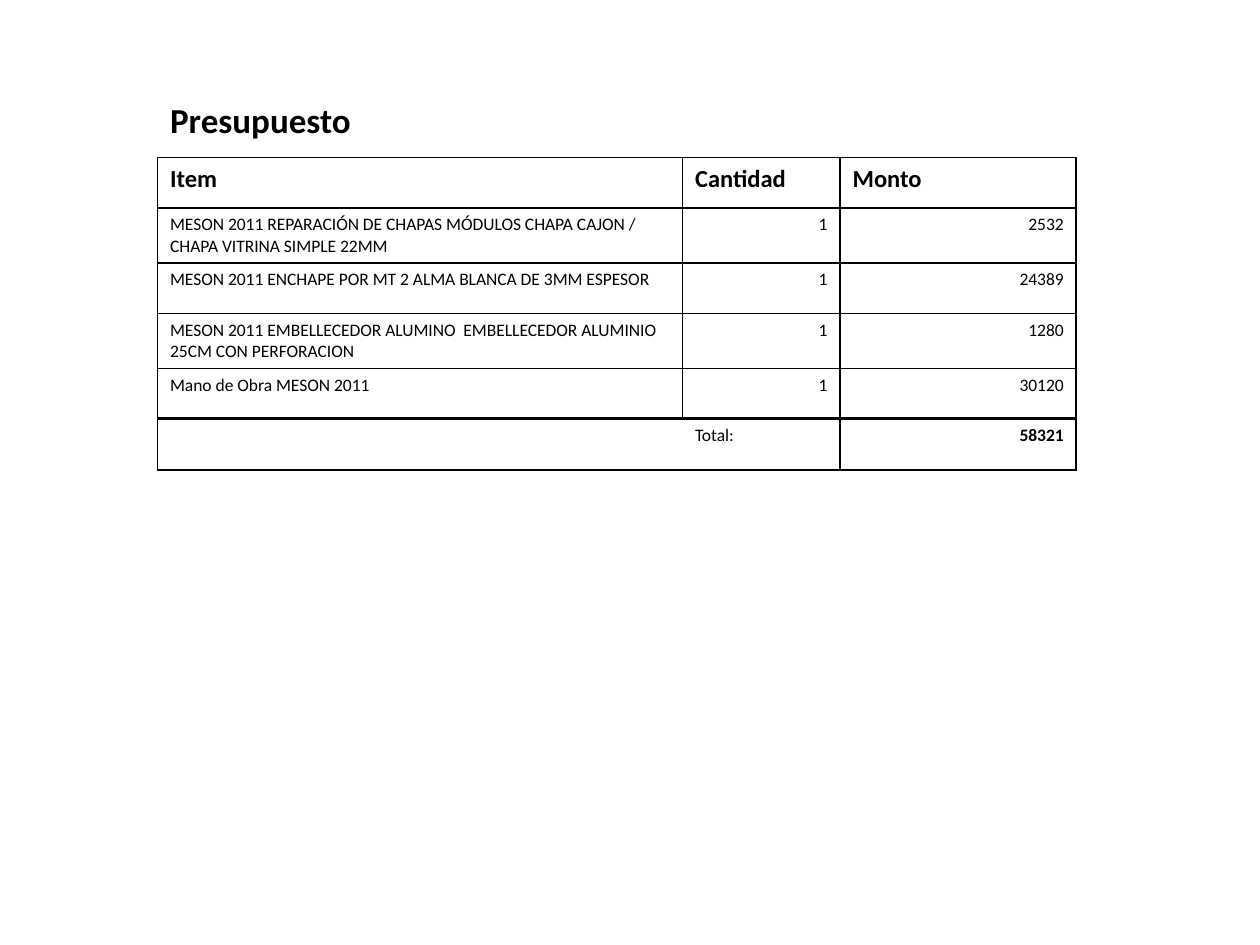
from lxml.etree import SubElement
from pptx import Presentation
from pptx.dml.color import RGBColor
from pptx.enum.text import MSO_ANCHOR, PP_ALIGN
from pptx.oxml.ns import qn
from pptx.util import Pt

BLACK = RGBColor(0, 0, 0)
WHITE = RGBColor(255, 255, 255)
FONT = "Calibri"
LEFT = 90
COLUMN_WIDTHS = (300, 90, 135)
ROW_HEIGHT = 28.8
TITLE_ONLY = 5

ROWS = (
    ("Item", "Cantidad", "Monto"),
    ("MESON 2011 REPARACIÓN DE CHAPAS MÓDULOS CHAPA CAJON / CHAPA VITRINA SIMPLE 22MM", "1", "2532"),
    ("MESON 2011 ENCHAPE POR MT 2 ALMA BLANCA DE 3MM ESPESOR", "1", "24389"),
    ("MESON 2011 EMBELLECEDOR ALUMINO  EMBELLECEDOR ALUMINIO 25CM CON PERFORACION", "1", "1280"),
    ("Mano de Obra MESON 2011", "1", "30120"),
    ("", "Total:", "58321"),
)
TOTAL_ROW = len(ROWS) - 1


def write_text(text_frame, text, size=10, bold=False, align=PP_ALIGN.LEFT):
    paragraph = text_frame.paragraphs[0]
    paragraph.alignment = align
    if not text:
        return
    run = paragraph.add_run()
    run.text = text
    font = run.font
    font.name, font.size, font.bold = FONT, Pt(size), bold
    font.color.rgb = BLACK


def set_borders(cell, widths):
    """Draw the left, right, top and bottom borders; a width of 0 hides one."""
    properties = cell._tc.get_or_add_tcPr()
    for side, width in zip("LRTB", widths):
        line = SubElement(properties, qn(f"a:ln{side}"), w=str(Pt(width)))
        if width:
            fill = SubElement(line, qn("a:solidFill"))
            SubElement(fill, qn("a:srgbClr"), val=str(BLACK))
        else:
            SubElement(line, qn("a:noFill"))


def border_widths(row, column):
    """Leave the total row open between its first two cells, with a thick line above."""
    left = 0 if (row, column) == (TOTAL_ROW, 1) else 1
    right = 0 if (row, column) == (TOTAL_ROW, 0) else 1
    bottom = 2 if row == TOTAL_ROW - 1 else 1
    return left, right, 1, bottom


def text_format(row, column):
    if row == 0:
        return {"size": 14, "bold": True}
    is_number = column == 2 or (column == 1 and row != TOTAL_ROW)
    return {
        "bold": row == TOTAL_ROW and column == 2,
        "align": PP_ALIGN.RIGHT if is_number else PP_ALIGN.LEFT,
    }


def add_title(slide, text):
    title = slide.shapes.title
    title.left, title.top, title.width, title.height = Pt(LEFT), Pt(52.5), Pt(450), Pt(225)
    title.text_frame.vertical_anchor = MSO_ANCHOR.TOP
    write_text(title.text_frame, text, size=20, bold=True)


def add_budget_table(slide):
    table = slide.shapes.add_table(
        len(ROWS), len(COLUMN_WIDTHS), Pt(LEFT), Pt(90),
        Pt(sum(COLUMN_WIDTHS)), Pt(ROW_HEIGHT * len(ROWS))
    ).table
    table.first_row = table.horz_banding = False
    for column, width in zip(table.columns, COLUMN_WIDTHS):
        column.width = Pt(width)
    for row, texts in enumerate(ROWS):
        table.rows[row].height = Pt(ROW_HEIGHT)
        for column, text in enumerate(texts):
            cell = table.cell(row, column)
            set_borders(cell, border_widths(row, column))
            cell.fill.solid()
            cell.fill.fore_color.rgb = WHITE
            write_text(cell.text_frame, text, **text_format(row, column))


def main():
    presentation = Presentation()
    presentation.slide_width, presentation.slide_height = Pt(720), Pt(540)
    slide = presentation.slides.add_slide(presentation.slide_layouts[TITLE_ONLY])
    add_title(slide, "Presupuesto")
    add_budget_table(slide)
    presentation.save("out.pptx")


if __name__ == "__main__":
    main()
